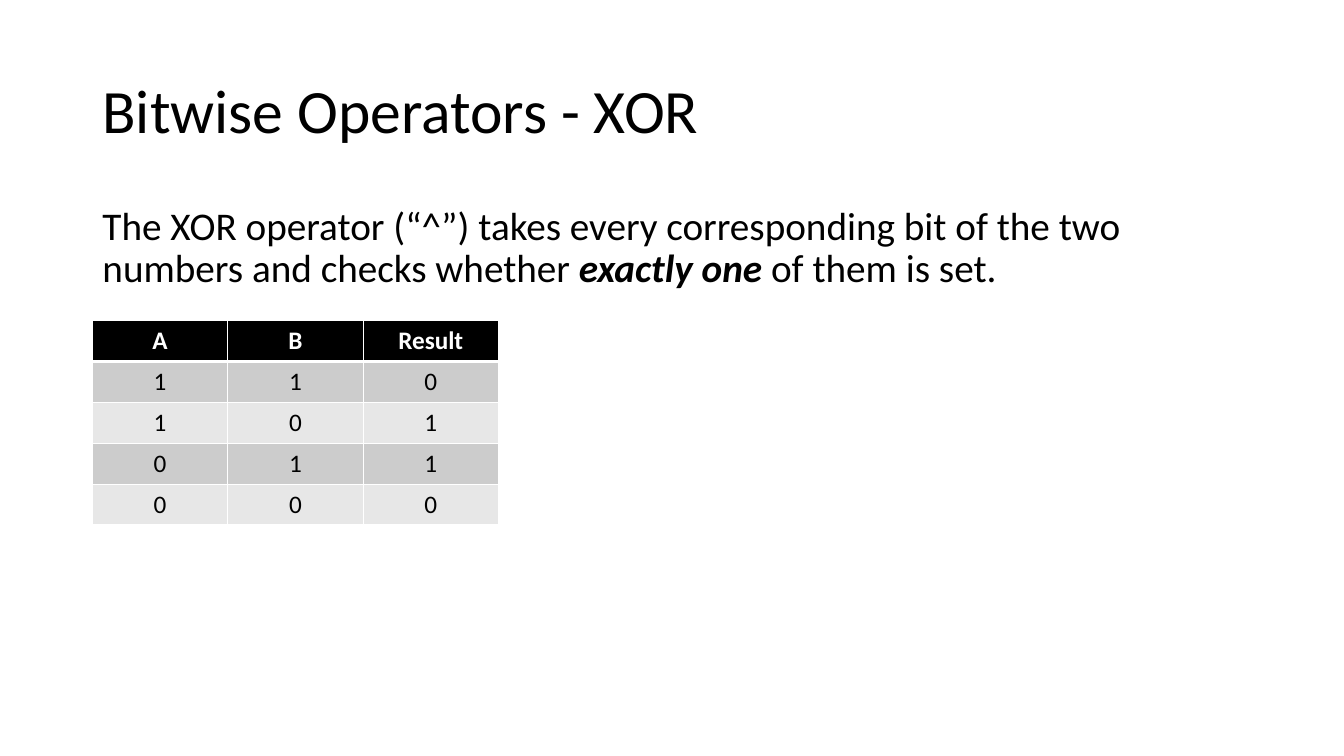
from lxml.etree import SubElement
from pptx import Presentation
from pptx.dml.color import RGBColor
from pptx.enum.text import MSO_ANCHOR, MSO_AUTO_SIZE, PP_ALIGN
from pptx.oxml.ns import qn
from pptx.util import Pt

FONT = "Calibri"
BLACK = "000000"
WHITE = "FFFFFF"
BANDS = ["CCCCCC", "E7E7E7"]
LEFT = 66
TEXT_WIDTH = 828
COLUMN_WIDTH = 96.7
ROW_HEIGHT = 29.2
TRUTH_TABLE = [
    ("A", "B", "Result"),
    ("1", "1", "0"),
    ("1", "0", "1"),
    ("0", "1", "1"),
    ("0", "0", "0"),
]


def color(value):
    return RGBColor.from_string(value)


def add_span(para, text, size, shade=BLACK, bold=False, italic=False):
    span = para.add_run()
    span.text = text
    span.font.name = FONT
    span.font.size = Pt(size)
    span.font.bold = bold
    span.font.italic = italic
    span.font.color.rgb = color(shade)


def prepare_placeholder(box, top, height, anchor):
    box.left, box.top = Pt(LEFT), Pt(top)
    box.width, box.height = Pt(TEXT_WIDTH), Pt(height)
    frame = box.text_frame
    frame.word_wrap = True
    frame.auto_size = MSO_AUTO_SIZE.NONE
    frame.vertical_anchor = anchor
    para = frame.paragraphs[0]
    para.alignment = PP_ALIGN.LEFT
    para.line_spacing = 0.9
    return para


def add_title(page, text):
    para = prepare_placeholder(page.shapes.title, 28.8, 104.4, MSO_ANCHOR.MIDDLE)
    para.space_before = Pt(0)
    add_span(para, text, 44)


def add_body(page):
    para = prepare_placeholder(page.placeholders[1], 143.75, 342.6, MSO_ANCHOR.TOP)
    para.space_before = Pt(10)
    properties = para._p.get_or_add_pPr()
    properties.set("marL", "0")
    properties.set("indent", "0")
    SubElement(properties, qn("a:buNone"))
    add_span(para, "The XOR operator (“^”) takes every corresponding bit "
                   "of the two numbers and checks whether ", 28)
    add_span(para, "exactly one", 28, bold=True, italic=True)
    add_span(para, " of them is set.", 28)


def add_border(cell, side, width):
    line = SubElement(cell._tc.get_or_add_tcPr(), qn(f"a:ln{side}"), w=str(Pt(width)))
    fill = SubElement(line, qn("a:solidFill"))
    SubElement(fill, qn("a:srgbClr"), val=WHITE)


def fill_cell(cell, text, row):
    header = row == 0
    widths = {"L": 1, "R": 1, "T": 3 if row == 1 else 1, "B": 3 if header else 1}
    for side, width in widths.items():
        add_border(cell, side, width)
    cell.fill.solid()
    cell.fill.fore_color.rgb = color(BLACK if header else BANDS[(row - 1) % 2])
    para = cell.text_frame.paragraphs[0]
    para.alignment = PP_ALIGN.CENTER
    add_span(para, text, 18, WHITE if header else BLACK, bold=header)


def add_truth_table(page, top):
    rows, columns = len(TRUTH_TABLE), len(TRUTH_TABLE[0])
    table = page.shapes.add_table(
        rows, columns, Pt(LEFT), Pt(top),
        Pt(columns * COLUMN_WIDTH), Pt(rows * ROW_HEIGHT),
    ).table
    for column in table.columns:
        column.width = Pt(COLUMN_WIDTH)
    for row, values in enumerate(TRUTH_TABLE):
        table.rows[row].height = Pt(ROW_HEIGHT)
        for column, text in enumerate(values):
            fill_cell(table.cell(row, column), text, row)


def main():
    deck = Presentation()
    deck.slide_width, deck.slide_height = Pt(960), Pt(540)
    page = deck.slides.add_slide(deck.slide_layouts[1])
    add_title(page, "Bitwise Operators - XOR")
    add_body(page)
    add_truth_table(page, 229)
    deck.save("out.pptx")


main()
